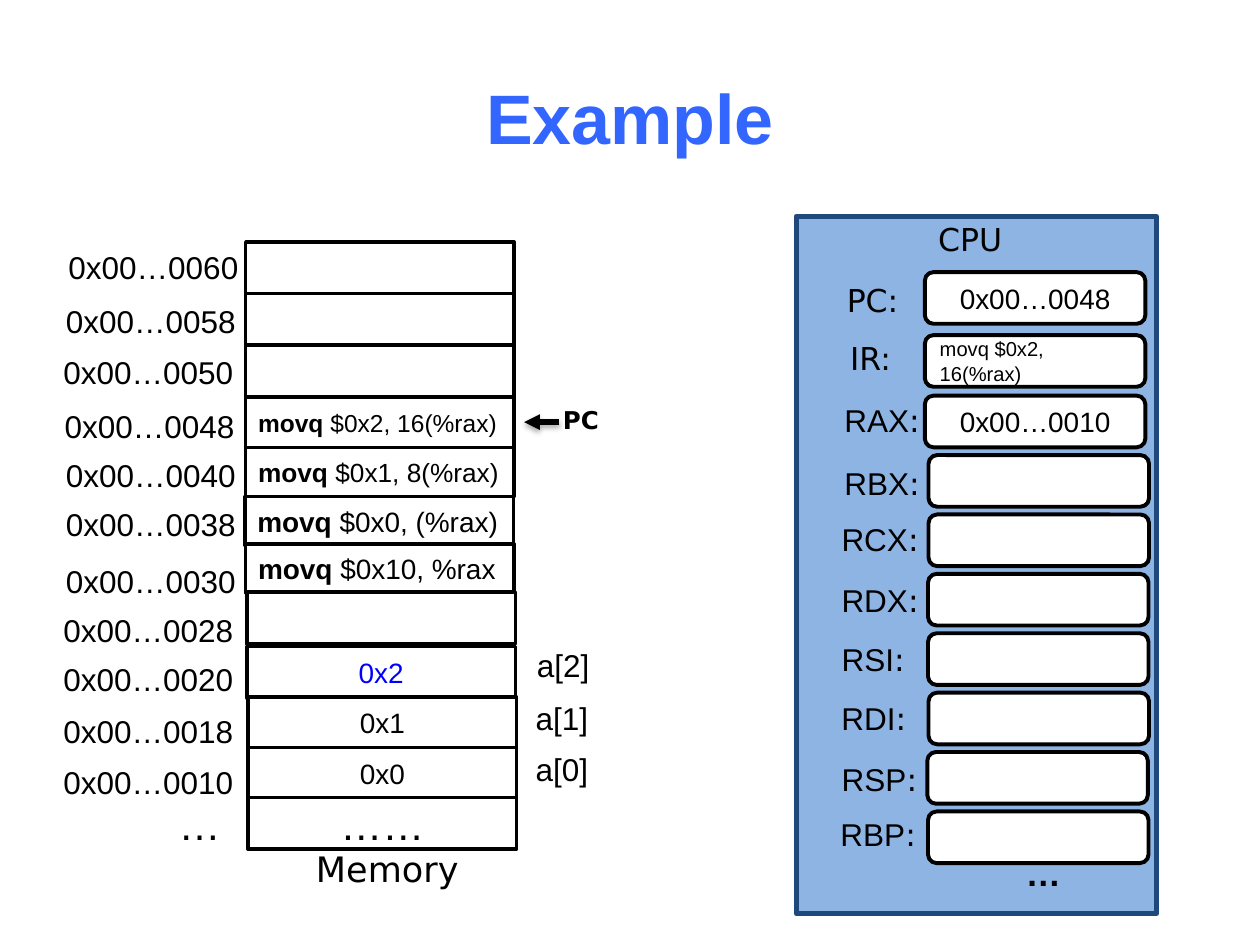
from dataclasses import dataclass

from lxml import etree
from pptx import Presentation
from pptx.dml.color import RGBColor
from pptx.enum.shapes import MSO_CONNECTOR, MSO_SHAPE
from pptx.enum.text import MSO_ANCHOR, MSO_AUTO_SIZE, PP_ALIGN
from pptx.oxml import parse_xml
from pptx.oxml.ns import nsdecls, qn
from pptx.util import Pt

LEFT, CENTER, RIGHT = PP_ALIGN.LEFT, PP_ALIGN.CENTER, PP_ALIGN.RIGHT
MIDDLE, TOP = MSO_ANCHOR.MIDDLE, MSO_ANCHOR.TOP
RECT, ROUND = MSO_SHAPE.RECTANGLE, MSO_SHAPE.ROUNDED_RECTANGLE
STRAIGHT = MSO_CONNECTOR.STRAIGHT
GROW, FIXED = MSO_AUTO_SIZE.SHAPE_TO_FIT_TEXT, MSO_AUTO_SIZE.NONE


@dataclass(frozen=True)
class Theme:
    sans: str = "Arial"
    label: str = "DejaVu Sans"
    ink: str = "000000"
    paper: str = "FFFFFF"
    title: str = "3366FF"
    changed: str = "0000FF"
    cpu_fill: str = "8EB4E3"
    cpu_line: str = "1F497D"
    title_size: float = 40
    dots_size: float = 24
    caption_size: float = 20
    label_size: float = 18
    value_size: float = 16
    long_code_size: float = 15
    small_size: float = 14
    ir_size: float = 11.5


class Diagram:
    def __init__(self, slide, theme):
        self.slide, self.theme = slide, theme

    def set_text(self, tf, text, size, align=CENTER, font=None, color=None,
                 bold=False, head="", tail=""):
        """Set text with an optional bold head and a tail in the label font."""
        p = tf.paragraphs[0]
        p.alignment = align
        p.font.size = Pt(size)
        p.font.name = font or self.theme.sans
        p.font.bold = bold
        p.font.color.rgb = RGBColor.from_string(color or self.theme.ink)
        for part in filter(None, (head, text, tail)):
            r = p.add_run()
            r.text = part
            if part == head:
                r.font.bold = True
            elif part == tail:
                r.font.name = self.theme.label

    def text(self, x, y, w, h, text, size, anchor=TOP, wrap=False, **style):
        tf = self.slide.shapes.add_textbox(Pt(x), Pt(y), Pt(w), Pt(h)).text_frame
        tf.word_wrap = wrap
        tf.auto_size = FIXED if wrap else GROW
        tf.vertical_anchor = anchor
        self.set_text(tf, text, size, **style)

    def box(self, x, y, w, h, weight, kind=RECT, fill=None, line=None,
            text="", size=None, **style):
        sp = self.slide.shapes.add_shape(kind, Pt(x), Pt(y), Pt(w), Pt(h))
        sp.shadow.inherit = False
        sp.fill.solid()
        sp.fill.fore_color.rgb = RGBColor.from_string(fill or self.theme.paper)
        sp.line.color.rgb = RGBColor.from_string(line or self.theme.ink)
        sp.line.width = Pt(weight)
        if text:
            tf = sp.text_frame
            tf.word_wrap = True
            tf.vertical_anchor = MIDDLE
            self.set_text(tf, text, size, **style)

    def arrow(self, x1, y1, x2, y2, weight):
        sp = self.slide.shapes.add_connector(
            STRAIGHT, Pt(x1), Pt(y1), Pt(x2), Pt(y2))
        sp.line.color.rgb = RGBColor.from_string(self.theme.ink)
        sp.line.width = Pt(weight)
        props = sp._element.spPr
        etree.SubElement(props.find(qn("a:ln")), qn("a:tailEnd"), type="triangle")
        props.append(parse_xml(
            f'<a:effectLst {nsdecls("a")}><a:outerShdw blurRad="{Pt(3.1)}" '
            f'dist="{Pt(1.8)}" dir="5400000" rotWithShape="0">'
            f'<a:srgbClr val="{self.theme.ink}"><a:alpha val="35000"/></a:srgbClr>'
            '</a:outerShdw></a:effectLst>'))


def draw_memory(d):
    t = d.theme
    value = dict(size=t.value_size)
    code = dict(value, align=LEFT, head="movq ")
    # Cell left, top and height; address left and top; cell content
    rows = [
        (140.4, 138.2, 29.5, 31, 138.2, {}),
        (140.4, 167.8, 29.5, 29.5, 169.2, {}),
        (140.4, 197.3, 29.5, 28.1, 198, {}),
        (140.4, 226.8, 29.5, 28.8, 229,
         dict(code, text="$0x2, 16(%rax)", size=t.small_size)),
        (140.4, 255.6, 28.1, 29.5, 257,
         dict(code, text="$0x1, 8(%rax)", size=t.long_code_size)),
        (140, 283.7, 28.1, 29.5, 285.1, dict(code, text="$0x0, (%rax)")),
        (140.4, 311, 28.1, 29.5, 317.5, dict(code, text="$0x10, %rax")),
        (141.1, 338.4, 29.5, 28.1, 345.6, {}),
        (141.1, 369.4, 29.5, 28.1, 373.7, dict(value, text="0x2", color=t.changed)),
        (141.8, 398.2, 29.5, 28.1, 403.2, dict(value, text="0x1")),
        (141.8, 427, 29.5, 28.1, 432.7, dict(value, text="0x0")),
    ]
    for i, (x, y, h, addr_x, addr_y, content) in enumerate(rows):
        d.box(x, y, 153.4, h, 2, **content)
        d.text(addr_x, addr_y, 112.3, 28.8, f"0x00…{0x60 - 8 * i:04x}",
               t.label_size, align=RIGHT)

    # Continuation row and caption
    d.box(141.8, 455.8, 153.4, 29.5, 2, text="……", size=t.dots_size)
    d.text(94.3, 452.9, 38.9, 36, "…", t.dots_size, align=RIGHT)
    d.text(173.5, 481, 95.8, 31.7, "Memory", t.caption_size, align=LEFT, font=t.label)

    # Array elements and program counter
    for i, (x, y) in enumerate([(298.8, 424.8), (298.8, 396), (299.5, 365.8)]):
        d.text(x, y, 44.6, 28.8, f"a[{i}]", t.label_size)
    d.arrow(319.7, 241.2, 299.5, 241.2, 3)
    d.text(314.6, 228.2, 35.3, 24.5, "PC", t.small_size, align=LEFT,
           font=t.label, bold=True)


def draw_cpu(d):
    t = d.theme
    d.box(455, 123.8, 205.9, 398.2, 3, fill=t.cpu_fill, line=t.cpu_line)
    d.text(528.5, 122.4, 51.8, 28.8, "CPU", t.label_size, font=t.label)

    # Special registers
    for name, x, y, w, box_y, content in [
        ("PC:", 475.2, 157, 46.8, 155.5, dict(text="0x00…0048", size=t.value_size)),
        ("IR:", 475.9, 190.1, 43.2, 191.5,
         dict(text="movq $0x2, 16(%rax)", size=t.ir_size, align=LEFT)),
    ]:
        d.box(528.5, box_y, 126, 29.5, 2.25, ROUND, **content)
        d.text(x, y, w, 28.8, name, t.label_size, font=t.label)

    # General registers: label left, top and width; box left
    registers = [
        ("RAX", 473.8, 225.4, 60.5, 528.5), ("RBX", 473.8, 261.4, 60.5, 530.6),
        ("RCX", 472.3, 293.8, 61.2, 530.6), ("RDX", 472.3, 328.3, 61.2, 530.3),
        ("RSI", 472.3, 362.2, 53.3, 530.3), ("RDI", 472.3, 396, 54, 530.6),
        ("RSP", 472.3, 430.6, 60.5, 529.9), ("RBP", 471.6, 462.2, 60.5, 530.3),
    ]
    for i, (name, x, y, w, box_x) in enumerate(registers):
        content = dict(text="0x00…0010", size=t.value_size) if name == "RAX" else {}
        d.box(box_x, 226.1 + 33.94 * i, 126, 29.5, 2.25, ROUND, **content)
        d.text(x, y, w, 28.8, name, t.label_size, tail=":")
    d.text(578.9, 483.1, 34.6, 31.7, "…", t.caption_size, bold=True)


def main():
    prs = Presentation()
    prs.slide_width, prs.slide_height = Pt(720), Pt(540)
    theme = Theme()
    d = Diagram(prs.slides.add_slide(prs.slide_layouts[6]), theme)
    d.text(36, 21.6, 648, 90, "Example", theme.title_size, anchor=MIDDLE,
           wrap=True, color=theme.title, bold=True)
    draw_cpu(d)
    draw_memory(d)
    prs.save("out.pptx")


if __name__ == "__main__":
    main()
